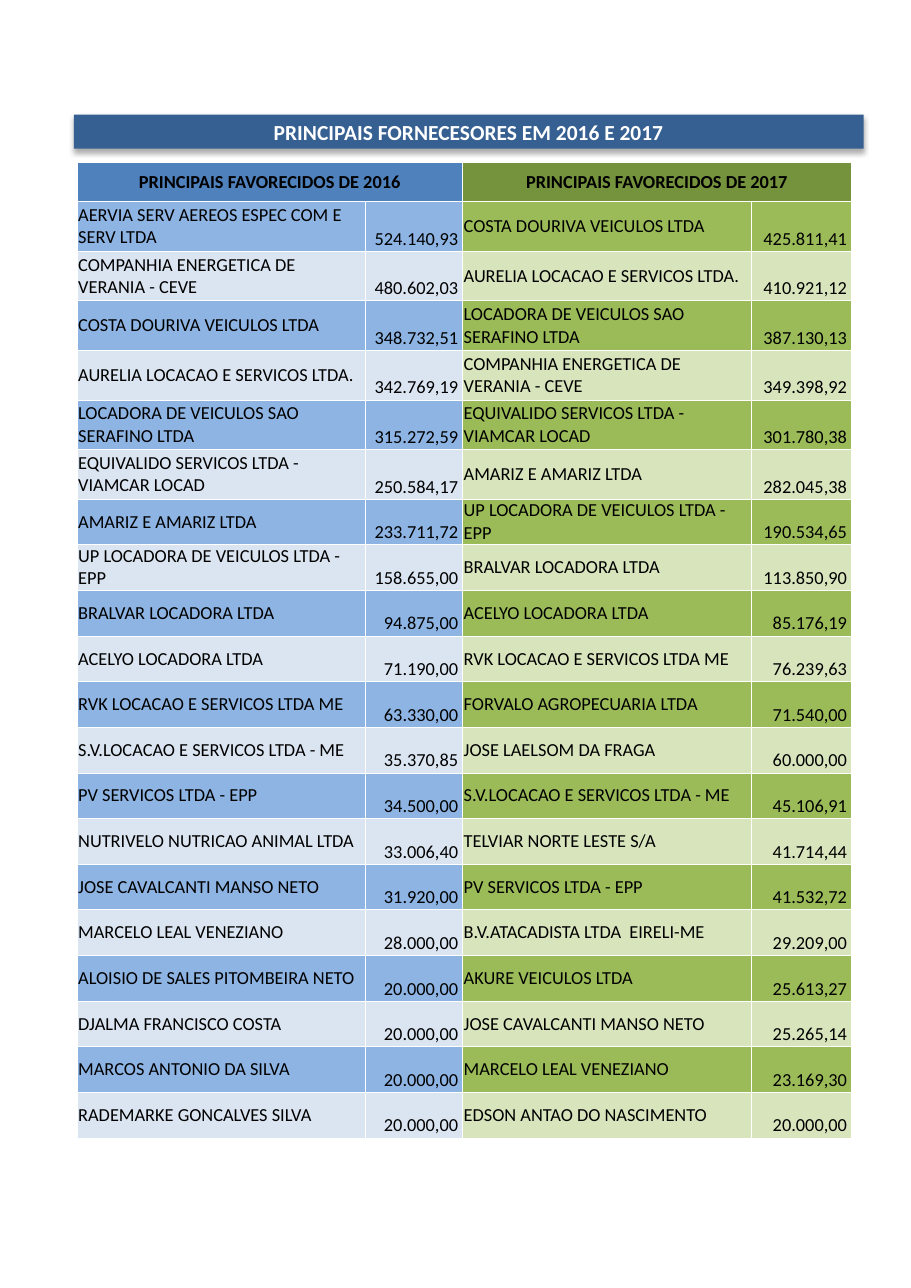
from pptx import Presentation
from pptx.dml.color import RGBColor
from pptx.enum.shapes import MSO_SHAPE
from pptx.enum.text import MSO_ANCHOR, PP_ALIGN
from pptx.oxml import parse_xml
from pptx.oxml.ns import nsdecls, qn
from pptx.util import Inches, Pt

LEFT, CENTER, RIGHT = PP_ALIGN.LEFT, PP_ALIGN.CENTER, PP_ALIGN.RIGHT
MIDDLE, BOTTOM = MSO_ANCHOR.MIDDLE, MSO_ANCHOR.BOTTOM
RECT = MSO_SHAPE.RECTANGLE

WHITE = RGBColor(0xFF, 0xFF, 0xFF)
BLACK = RGBColor(0x00, 0x00, 0x00)
NAVY = RGBColor(0x37, 0x60, 0x92)
BLUE_HEAD = RGBColor(0x4F, 0x81, 0xBD)
BLUE = RGBColor(0x8D, 0xB4, 0xE3)
BLUE_PALE = RGBColor(0xDB, 0xE5, 0xF1)
GREEN_HEAD = RGBColor(0x75, 0x92, 0x3C)
GREEN = RGBColor(0x9B, 0xBB, 0x59)
GREEN_PALE = RGBColor(0xD7, 0xE4, 0xBC)

HEADS = [("PRINCIPAIS FAVORECIDOS DE 2016", BLUE_HEAD),
         ("PRINCIPAIS FAVORECIDOS DE 2017", GREEN_HEAD)]
BANDS = [(BLUE, BLUE, GREEN, GREEN),
         (BLUE_PALE, BLUE_PALE, GREEN_PALE, GREEN_PALE)]
COLS = [2.62, 0.88, 2.62, 0.91]
ROWS = [0.36] + [0.45] * 6 + [5.8 / 14] * 14

# Supplier and amount in 2016, supplier and amount in 2017
SUPPLIERS = [
    ("AERVIA SERV AEREOS ESPEC COM E SERV LTDA", "524.140,93",
     "COSTA DOURIVA VEICULOS LTDA", "425.811,41"),
    ("COMPANHIA ENERGETICA DE VERANIA - CEVE", "480.602,03",
     "AURELIA LOCACAO E SERVICOS LTDA.", "410.921,12"),
    ("COSTA DOURIVA VEICULOS LTDA", "348.732,51",
     "LOCADORA DE VEICULOS SAO SERAFINO LTDA", "387.130,13"),
    ("AURELIA LOCACAO E SERVICOS LTDA.", "342.769,19",
     "COMPANHIA ENERGETICA DE VERANIA - CEVE", "349.398,92"),
    ("LOCADORA DE VEICULOS SAO SERAFINO LTDA", "315.272,59",
     "EQUIVALIDO SERVICOS LTDA - VIAMCAR LOCAD", "301.780,38"),
    ("EQUIVALIDO SERVICOS LTDA - VIAMCAR LOCAD", "250.584,17",
     "AMARIZ E AMARIZ LTDA", "282.045,38"),
    ("AMARIZ E AMARIZ LTDA", "233.711,72",
     "UP LOCADORA DE VEICULOS LTDA - EPP", "190.534,65"),
    ("UP LOCADORA DE VEICULOS LTDA - EPP", "158.655,00",
     "BRALVAR LOCADORA LTDA", "113.850,90"),
    ("BRALVAR LOCADORA LTDA", "94.875,00",
     "ACELYO LOCADORA LTDA", "85.176,19"),
    ("ACELYO LOCADORA LTDA", "71.190,00",
     "RVK LOCACAO E SERVICOS LTDA ME", "76.239,63"),
    ("RVK LOCACAO E SERVICOS LTDA ME", "63.330,00",
     "FORVALO AGROPECUARIA LTDA", "71.540,00"),
    ("S.V.LOCACAO E SERVICOS LTDA - ME", "35.370,85",
     "JOSE LAELSOM DA FRAGA", "60.000,00"),
    ("PV SERVICOS LTDA - EPP", "34.500,00",
     "S.V.LOCACAO E SERVICOS LTDA - ME", "45.106,91"),
    ("NUTRIVELO NUTRICAO ANIMAL LTDA", "33.006,40",
     "TELVIAR NORTE LESTE S/A", "41.714,44"),
    ("JOSE CAVALCANTI MANSO NETO", "31.920,00",
     "PV SERVICOS LTDA - EPP", "41.532,72"),
    ("MARCELO LEAL VENEZIANO", "28.000,00",
     "B.V.ATACADISTA LTDA  EIRELI-ME", "29.209,00"),
    ("ALOISIO DE SALES PITOMBEIRA NETO", "20.000,00",
     "AKURE VEICULOS LTDA", "25.613,27"),
    ("DJALMA FRANCISCO COSTA", "20.000,00",
     "JOSE CAVALCANTI MANSO NETO", "25.265,14"),
    ("MARCOS ANTONIO DA SILVA", "20.000,00",
     "MARCELO LEAL VENEZIANO", "23.169,30"),
    ("RADEMARKE GONCALVES SILVA", "20.000,00",
     "EDSON ANTAO DO NASCIMENTO", "20.000,00"),
]


def write(tf, text, size=12, color=BLACK, bold=False, align=LEFT, font="Calibri"):
    p = tf.paragraphs[0]
    p.alignment = align
    r = p.add_run()
    r.text = text
    r.font.name, r.font.size, r.font.bold = font, Pt(size), bold
    r.font.color.rgb = color


class SlideBuilder:
    def __init__(self, s, border=WHITE, border_width=0.5):
        self.s = s
        self.border, self.border_width = border, border_width

    def banner(self, text, x, y, w, h, fill):
        sp = self.s.shapes.add_shape(RECT, Inches(x), Inches(y), Inches(w), Inches(h))
        sp.fill.solid()
        sp.fill.fore_color.rgb = fill
        sp.line.fill.background()
        sp.shadow.inherit = False
        effects = sp._element.spPr.find(qn("a:effectLst"))
        effects.append(parse_xml(
            f'<a:outerShdw {nsdecls("a")} blurRad="{Pt(3.5)}" dist="{Pt(2.2)}" '
            'dir="5400000" rotWithShape="0"><a:srgbClr val="000000">'
            '<a:alpha val="32000"/></a:srgbClr></a:outerShdw>'))
        sp.text_frame.vertical_anchor = MIDDLE
        write(sp.text_frame, text, size=14, color=WHITE, bold=True, align=CENTER)

    def table(self, x, y, cols, rows):
        table = self.s.shapes.add_table(
            len(rows), len(cols), Inches(x), Inches(y),
            Inches(sum(cols)), Inches(sum(rows))).table
        for col, width in zip(table.columns, cols):
            col.width = Inches(width)
        for row, height in zip(table.rows, rows):
            row.height = Inches(height)
        return table

    def cell(self, cell, fill, text="", anchor=MIDDLE, right=0.01, bottom=0, **fmt):
        cell.margin_left, cell.margin_right = Inches(0.01), Inches(right)
        cell.margin_top, cell.margin_bottom = 0, Inches(bottom)
        cell.vertical_anchor = anchor
        tcPr = cell._tc.get_or_add_tcPr()
        for side in "LRTB":
            tcPr.append(parse_xml(
                f'<a:ln{side} {nsdecls("a")} w="{Pt(self.border_width)}"><a:solidFill>'
                f'<a:srgbClr val="{self.border}"/></a:solidFill></a:ln{side}>'))
        cell.fill.solid()
        cell.fill.fore_color.rgb = fill
        if text:
            write(cell.text_frame, text, **fmt)


def main():
    prs = Presentation()
    prs.slide_width, prs.slide_height = Inches(8.27), Inches(11.69)
    b = SlideBuilder(prs.slides.add_slide(prs.slide_layouts[6]))

    # Title
    b.banner("PRINCIPAIS FORNECESORES EM 2016 E 2017", 0.67, 1.04, 7.17, 0.31, NAVY)

    # Year headings, each over two columns
    table = b.table(0.7, 1.47, COLS, ROWS)
    for i, (head, fill) in enumerate(HEADS):
        first, second = table.cell(0, 2 * i), table.cell(0, 2 * i + 1)
        first.merge(second)
        b.cell(first, fill, head, bold=True, align=CENTER)
        b.cell(second, fill)

    # Suppliers and amounts
    for i, supplier in enumerate(SUPPLIERS):
        for j, (text, fill) in enumerate(zip(supplier, BANDS[i % 2])):
            cell = table.cell(i + 1, j)
            if j % 2:
                b.cell(cell, fill, text, anchor=BOTTOM, right=0.04, bottom=0.01, align=RIGHT)
            else:
                b.cell(cell, fill, text)

    prs.save("out.pptx")


if __name__ == "__main__":
    main()
